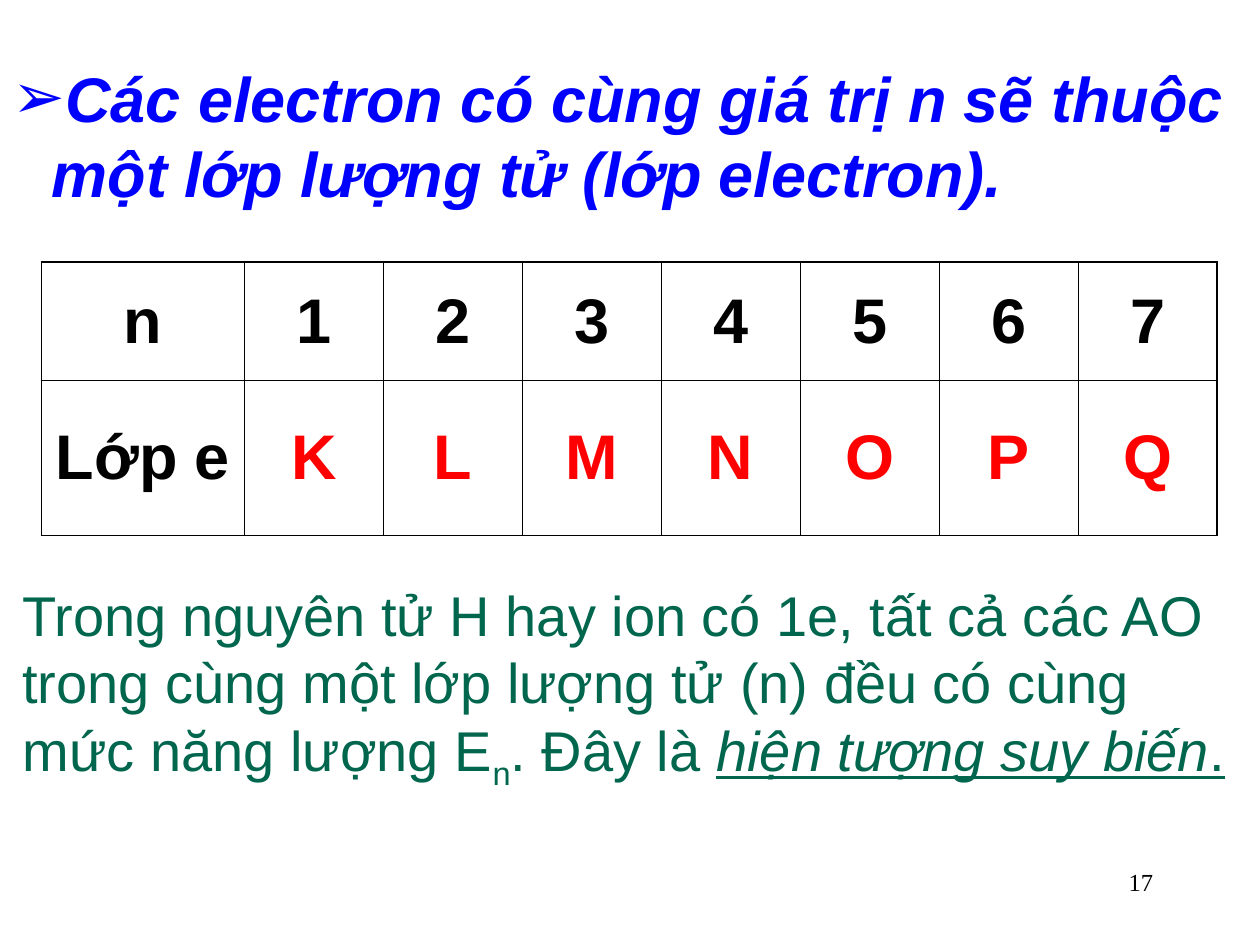
from dataclasses import dataclass

from lxml import etree
from pptx import Presentation
from pptx.dml.color import RGBColor
from pptx.enum.text import MSO_ANCHOR, MSO_AUTO_SIZE, PP_ALIGN
from pptx.oxml.ns import qn
from pptx.util import Inches, Pt

RIGHT, CENTER = PP_ALIGN.RIGHT, PP_ALIGN.CENTER
MIDDLE, NO_FIT = MSO_ANCHOR.MIDDLE, MSO_AUTO_SIZE.NONE

COLORS = {"black": "000000", "blue": "0000FF", "red": "FF0000", "green": "00664D"}
THIN, THICK = 0.45, 1.08


@dataclass
class Style:
    size: int
    color: str
    face: str = "Arial"
    bold: bool = False
    italic: bool = False


@dataclass
class Part:
    text: str
    italic: bool = False
    line: bool = False
    base: int = 0


def paint(run, style: Style) -> None:
    font = run.font
    font.size, font.name = Pt(style.size), style.face
    font.bold, font.italic = style.bold, style.italic
    font.color.rgb = RGBColor.from_string(COLORS[style.color])


def add_box(slide, left: float, top: float, width: float, height: float):
    box = slide.shapes.add_textbox(*map(Inches, (left, top, width, height)))
    box.text_frame.word_wrap = True
    return box.text_frame


def add_bullet(para, char: str, color: str, left: float, hang: float) -> None:
    props = para._p.get_or_add_pPr()
    props.set("marL", str(Inches(left)))
    props.set("indent", str(Inches(-hang)))
    tint = etree.SubElement(props, qn("a:buClr"))
    etree.SubElement(tint, qn("a:srgbClr"), val=COLORS[color])
    etree.SubElement(props, qn("a:buFont"), typeface="Arial")
    etree.SubElement(props, qn("a:buChar"), char=char)


def add_edges(cell, widths: dict[str, float]) -> None:
    props = cell._tc.get_or_add_tcPr()
    for spot, (side, width) in enumerate(widths.items()):
        edge = etree.Element(qn(f"a:ln{side}"), w=str(Pt(width)))
        fill = etree.SubElement(edge, qn("a:solidFill"))
        etree.SubElement(fill, qn("a:srgbClr"), val=COLORS["black"])
        props.insert(spot, edge)


def add_grid(slide, rows: list[list[str]], heights: list[float]) -> None:
    width, first = 9.33, 1.61
    count = len(rows[0])
    frame = slide.shapes.add_table(
        len(rows), count, Inches(0.33), Inches(2.08), Inches(width), Inches(sum(heights))
    )
    table = frame.table
    for col, column in enumerate(table.columns):
        column.width = Inches((width - first) / (count - 1) if col else first)
    for row, texts in enumerate(rows):
        table.rows[row].height = Inches(heights[row])
        for col, text in enumerate(texts):
            cell = table.cell(row, col)
            cell.fill.background()
            cell.vertical_anchor = MIDDLE
            outer = {
                "L": col == 0,
                "R": col == count - 1,
                "T": row == 0,
                "B": row == len(rows) - 1,
            }
            add_edges(cell, {side: THICK if out else THIN for side, out in outer.items()})
            para = cell.text_frame.paragraphs[0]
            para.text = text
            para.alignment = CENTER
            color = "red" if row and col else "black"
            paint(para.runs[0], Style(36, color, bold=True))


def add_parts(para, parts: list[Part]) -> None:
    for part in parts:
        run = para.add_run()
        run.text = part.text
        paint(run, Style(32, "green", italic=part.italic))
        if part.line:
            run.font.underline = True
        if part.base:
            run.font._element.set("baseline", str(part.base * 1000))


def main() -> None:
    deck = Presentation()
    deck.slide_width, deck.slide_height = Inches(10), Inches(7.5)
    slide = deck.slides.add_slide(deck.slide_layouts[1])
    title = slide.shapes.title._element
    title.getparent().remove(title)

    # Key statement
    body = slide.placeholders[1]
    body.left, body.top = Inches(-0.5), Inches(0.42)
    body.width, body.height = Inches(10.42), Inches(1.33)
    body.text_frame.auto_size = NO_FIT
    para = body.text_frame.paragraphs[0]
    para.text = "Các electron có cùng giá trị n sẽ thuộc một lớp lượng tử (lớp electron)."
    para.level = 1
    add_bullet(para, "➢", "blue", 0.81, 0.31)
    para.space_before = Pt(0)
    paint(para.runs[0], Style(36, "blue", bold=True, italic=True))

    # Shell table
    add_grid(slide, [["n", *"1234567"], ["Lớp e", *"KLMNOPQ"]], [0.94, 1.23])

    # Explanation
    note = add_box(slide, 0.08, 4.56, 10, 1.78)
    add_parts(note.paragraphs[0], [
        Part("Trong nguyên tử H hay ion có 1e, tất cả các AO "
             "trong cùng một lớp lượng tử (n) đều có cùng"),
    ])
    add_parts(note.add_paragraph(), [
        Part("mức năng lượng E"),
        Part("n", base=-25),
        Part(". Đây là "),
        Part("hiện tượng suy biến", italic=True, line=True),
        Part(".", line=True),
    ])

    # Page number
    para = add_box(slide, 7.17, 6.83, 2.08, 0.5).paragraphs[0]
    para.text = "17"
    para.alignment = RIGHT
    paint(para.runs[0], Style(14, "black", "Times New Roman"))

    deck.save("out.pptx")


if __name__ == "__main__":
    main()
